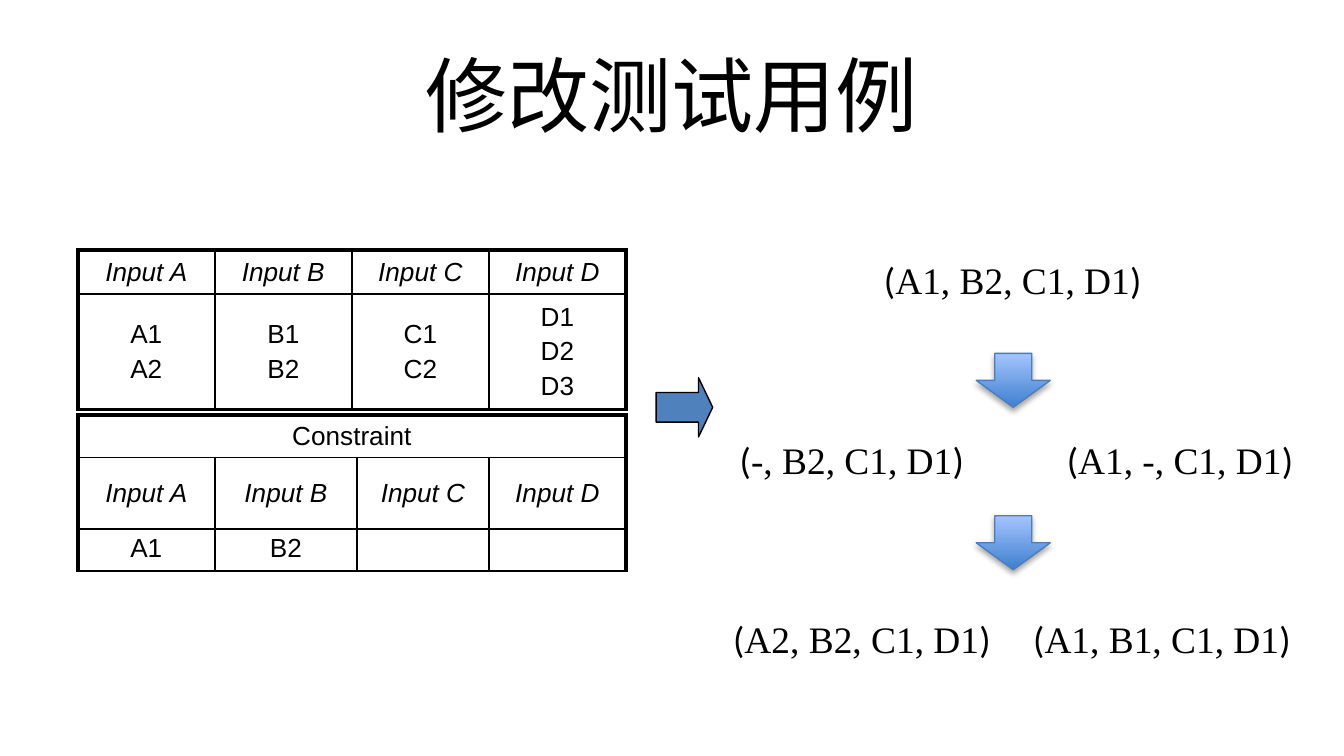
"""Build the slide that shows how test cases are modified to satisfy a constraint."""
from lxml import etree
from pptx import Presentation
from pptx.dml.color import RGBColor
from pptx.enum.shapes import MSO_SHAPE
from pptx.enum.text import MSO_ANCHOR, PP_ALIGN
from pptx.oxml.ns import qn
from pptx.util import Cm, Pt

BLACK = RGBColor(0x00, 0x00, 0x00)
BLUE = RGBColor(0x4F, 0x81, 0xBD)
STEP_DARK = RGBColor(0x3F, 0x80, 0xCE)
STEP_LIGHT = RGBColor(0xA4, 0xC4, 0xFF)
STEP_EDGE = RGBColor(0x4B, 0x7E, 0xBC)
RIGHT_ARROW = MSO_SHAPE.RIGHT_ARROW
DOWN_ARROW = MSO_SHAPE.DOWN_ARROW
MIDDLE = MSO_ANCHOR.MIDDLE
TOP = MSO_ANCHOR.TOP
CENTER = PP_ALIGN.CENTER
THIN, THICK = Pt(1), Pt(2.25)

INPUTS = ["Input A", "Input B", "Input C", "Input D"]
VALUES = ["A1\nA2", "B1\nB2", "C1\nC2", "D1\nD2\nD3"]
CASE_ROW_TOP, CASE_ROW_PITCH = 5.29, 3.39
CASES = [
    [(19.14, "A1, B2, C1, D1")],
    [(16.1, "-, B2, C1, D1"), (22.3, "A1, -, C1, D1")],
    [(16.29, "A2, B2, C1, D1"), (21.96, "A1, B1, C1, D1")],
]


def add_span(para, text, font="Calibri", size=20, italic=False):
    """Append formatted text to a centred paragraph."""
    para.alignment = CENTER
    span = para.add_run()
    span.text = text
    span.font.name = font
    span.font.size = Pt(size)
    span.font.italic = italic
    span.font.color.rgb = BLACK


def set_borders(cell, widths):
    """Draw the left, right, top and bottom borders of a cell."""
    properties = cell._tc.get_or_add_tcPr()
    for index, (side, width) in enumerate(zip(("lnL", "lnR", "lnT", "lnB"), widths)):
        line = etree.Element(qn(f"a:{side}"), w=str(width))
        fill = etree.SubElement(line, qn("a:solidFill"))
        etree.SubElement(fill, qn("a:srgbClr"), val=str(BLACK))
        properties.insert(index, line)


class CaseSlide:
    """Hold the slide style and place its elements, measured in centimetres."""

    def __init__(self, page):
        """Keep the page to draw on."""
        self.page = page
        self.table_font = "Arial"
        self.table_size = 14
        self.case_font = "Times New Roman"

    def add_box(self, left, top, width, height, wrap):
        """Add a vertically centred text box and return its paragraph."""
        box = self.page.shapes.add_textbox(Cm(left), Cm(top), Cm(width), Cm(height))
        frame = box.text_frame
        frame.word_wrap = wrap
        frame.vertical_anchor = MIDDLE
        return frame.paragraphs[0]

    def add_title(self, text):
        """Add the slide title."""
        add_span(self.add_box(1.27, 0.58, 22.86, 2.38, True), text, size=44)

    def add_case(self, center, middle, values):
        """Add one test case in parentheses around a centre point."""
        width, height = 5.6, 1.1
        para = self.add_box(center - width / 2, middle - height / 2, width, height, False)
        add_span(para, "(")
        add_span(para, values, font=self.case_font)
        add_span(para, ")")

    def fill_cell(self, cell, text, anchor):
        """Write the lines of a cell, with input names in italics."""
        cell.fill.background()
        cell.vertical_anchor = anchor
        cell.margin_left = cell.margin_right = Cm(0.25)
        cell.margin_top = cell.margin_bottom = Cm(0.1)
        frame = cell.text_frame
        for index, line in enumerate(text.split("\n")):
            para = frame.add_paragraph() if index else frame.paragraphs[0]
            para.space_before = Pt(self.table_size * 0.2)
            if line:
                add_span(para, line, font=self.table_font, size=self.table_size,
                         italic=line in INPUTS)
            else:
                etree.SubElement(para._p, qn("a:endParaRPr"), sz=str(self.table_size * 100))

    def add_table(self, top, widths, heights, rows, bottom=THIN, last_anchor=MIDDLE):
        """Add a table with a thick outline and thin inner rules; short rows are merged."""
        last_row, last_column = len(heights) - 1, len(widths) - 1
        frame = self.page.shapes.add_table(
            len(heights), len(widths), Cm(1.47), Cm(top), Cm(sum(widths)), Cm(sum(heights)))
        table = frame.table
        table.first_row = table.horz_banding = False
        for column, width in zip(table.columns, widths):
            column.width = Cm(width)
        for y, (height, texts) in enumerate(zip(heights, rows)):
            table.rows[y].height = Cm(height)
            merged = len(texts) == 1
            if merged:
                table.cell(y, 0).merge(table.cell(y, last_column))
            for x in range(len(widths)):
                cell = table.cell(y, x)
                text = texts[x] if x < len(texts) else ""
                self.fill_cell(cell, text, last_anchor if y == last_row else MIDDLE)
                set_borders(cell, (
                    THICK if x == 0 else THIN,
                    THICK if merged or x == last_column else THIN,
                    THICK if y == 0 else THIN,
                    bottom if y == last_row else THIN))

    def add_arrow(self, kind, left, top, width, height, edge):
        """Add a block arrow without a shadow and return it."""
        arrow = self.page.shapes.add_shape(kind, Cm(left), Cm(top), Cm(width), Cm(height))
        arrow.line.color.rgb = edge
        arrow.line.width = Pt(0.75)
        arrow.shadow.inherit = False
        return arrow

    def add_result_arrow(self):
        """Add the arrow from the tables to the test cases."""
        arrow = self.add_arrow(RIGHT_ARROW, 12.4, 7.14, 1.07, 1.12, BLACK)
        arrow.adjustments[1] = 0.25
        arrow.fill.solid()
        arrow.fill.fore_color.rgb = BLUE

    def add_step_arrow(self, top):
        """Add a shaded arrow from one row of test cases to the next."""
        arrow = self.add_arrow(DOWN_ARROW, 18.45, top, 1.4, 1.02, STEP_EDGE)
        arrow.fill.gradient()
        arrow.fill.gradient_angle = 90
        for stop, position, color in zip(
                arrow.fill.gradient_stops, (0, 1), (STEP_DARK, STEP_LIGHT)):
            stop.position = position
            stop.color.rgb = color
        effects = arrow._element.spPr.find(qn("a:effectLst"))
        shadow = etree.SubElement(
            effects, qn("a:outerShdw"), blurRad=str(Pt(3.1)), dist=str(Pt(1.8)),
            dir="5400000", rotWithShape="0")
        color = etree.SubElement(shadow, qn("a:srgbClr"), val=str(BLACK))
        etree.SubElement(color, qn("a:alpha"), val="35000")


def main():
    """Create the deck and save it."""
    deck = Presentation()
    deck.slide_width, deck.slide_height = Cm(25.4), Cm(14.29)
    slide = CaseSlide(deck.slides.add_slide(deck.slide_layouts[6]))
    slide.add_title("修改测试用例")
    slide.add_table(4.72, [2.59] * 4, [0.84, 2.13], [INPUTS, VALUES], bottom=THICK)
    slide.add_table(7.85, [2.59, 2.69, 2.49, 2.59], [0.77, 1.35, 0.77],
                    [["Constraint"], INPUTS, ["A1", "B2", "", ""]], last_anchor=TOP)
    slide.add_result_arrow()
    for row, cases in enumerate(CASES):
        for center, values in cases:
            slide.add_case(center, CASE_ROW_TOP + row * CASE_ROW_PITCH, values)
    for top in (6.68, 9.75):
        slide.add_step_arrow(top)
    deck.save("out.pptx")


if __name__ == "__main__":
    main()
